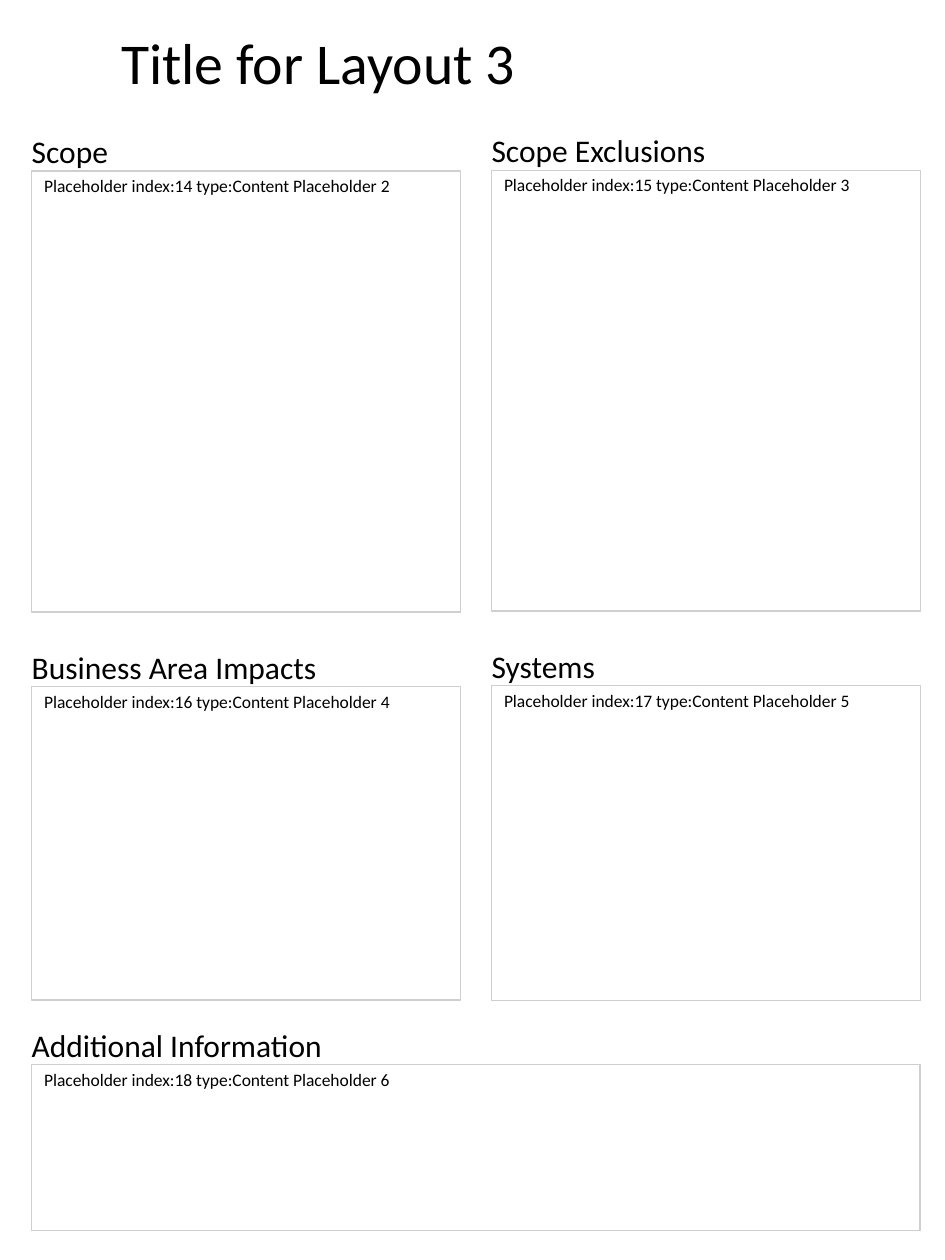
from pptx import Presentation
from pptx import util as u
from pptx.dml import color
from pptx.enum import shapes, text
from pptx.oxml import ns, xmlchemy

BLACK = color.RGBColor(0x00, 0x00, 0x00)
BORDER = color.RGBColor(0xD0, 0xCE, 0xCE)
FONT = "Calibri"
COMPARISON_LAYOUT = 4

LEFT, RIGHT = 0.64, 9.91
COLUMN, FULL = 8.64, 17.91
HEADING_RISE, HEADING_HEIGHT = 0.78, 0.76

SECTIONS = [
    ("Scope", LEFT, 3.45, COLUMN, 8.89),
    ("Scope Exclusions", RIGHT, 3.43, COLUMN, 8.89),
    ("Business Area Impacts", LEFT, 13.84, COLUMN, 6.32),
    ("Systems", RIGHT, 13.82, COLUMN, 6.35),
    ("Additional Information", LEFT, 21.46, FULL, 3.35),
]


def place(box, left, top, width, height):
    box.left, box.top = u.Cm(left), u.Cm(top)
    box.width, box.height = u.Cm(width), u.Cm(height)


def write(box, words, size, anchor=text.MSO_ANCHOR.TOP, inset=(0, 0)):
    frame = box.text_frame
    frame.word_wrap = True
    frame.auto_size = text.MSO_AUTO_SIZE.NONE
    frame.vertical_anchor = anchor
    frame.margin_left = frame.margin_right = u.Cm(inset[0])
    frame.margin_top = frame.margin_bottom = u.Cm(inset[1])
    para = frame.paragraphs[0]
    para.alignment = text.PP_ALIGN.LEFT
    span = para.add_run()
    span.text = words
    span.font.name = FONT
    span.font.size = u.Pt(size)
    span.font.bold = False
    span.font.color.rgb = BLACK
    return para


def remove_bullet(para):
    properties = para._p.get_or_add_pPr()
    properties.set("marL", "0")
    properties.set("indent", "0")
    properties.append(xmlchemy.OxmlElement("a:buNone"))


def add_title(page, words):
    title = page.shapes.title
    place(title, 2.44, 0.69, 15.88, 1.27)
    para = write(title, words, 33, text.MSO_ANCHOR.MIDDLE)
    para.line_spacing = 0.9


def add_heading(page, words, left, top):
    box = page.shapes.add_textbox(
        u.Cm(left), u.Cm(top), u.Cm(COLUMN), u.Cm(HEADING_HEIGHT))
    write(box, words, 18)


def fill_panel(panel, words):
    panel.fill.background()
    panel.line.color.rgb = BORDER
    panel.line.width = u.Pt(0.75)
    para = write(panel, words, 10, inset=(0.25, 0.13))
    para.line_spacing = 0.9
    para.space_before = u.Pt(7.5)
    remove_bullet(para)


def add_panel(page):
    panel = page.shapes.add_shape(shapes.MSO_SHAPE.RECTANGLE, 0, 0, 0, 0)
    panel.shadow.inherit = False
    return panel


def main():
    deck = Presentation()
    deck.slide_width, deck.slide_height = u.Cm(19.05), u.Cm(25.4)
    page = deck.slides.add_slide(deck.slide_layouts[COMPARISON_LAYOUT])
    bodies = [box for box in page.placeholders
              if 1 <= box.placeholder_format.idx <= 4]
    panels = bodies + [add_panel(page)]

    add_title(page, "Title for Layout 3")
    for number, (panel, section) in enumerate(zip(panels, SECTIONS), 2):
        heading, left, top, width, height = section
        add_heading(page, heading, left, top - HEADING_RISE)
        place(panel, left, top, width, height)
        fill_panel(panel, f"Placeholder index:{number + 12} "
                          f"type:Content Placeholder {number}")
    deck.save("out.pptx")


main()
